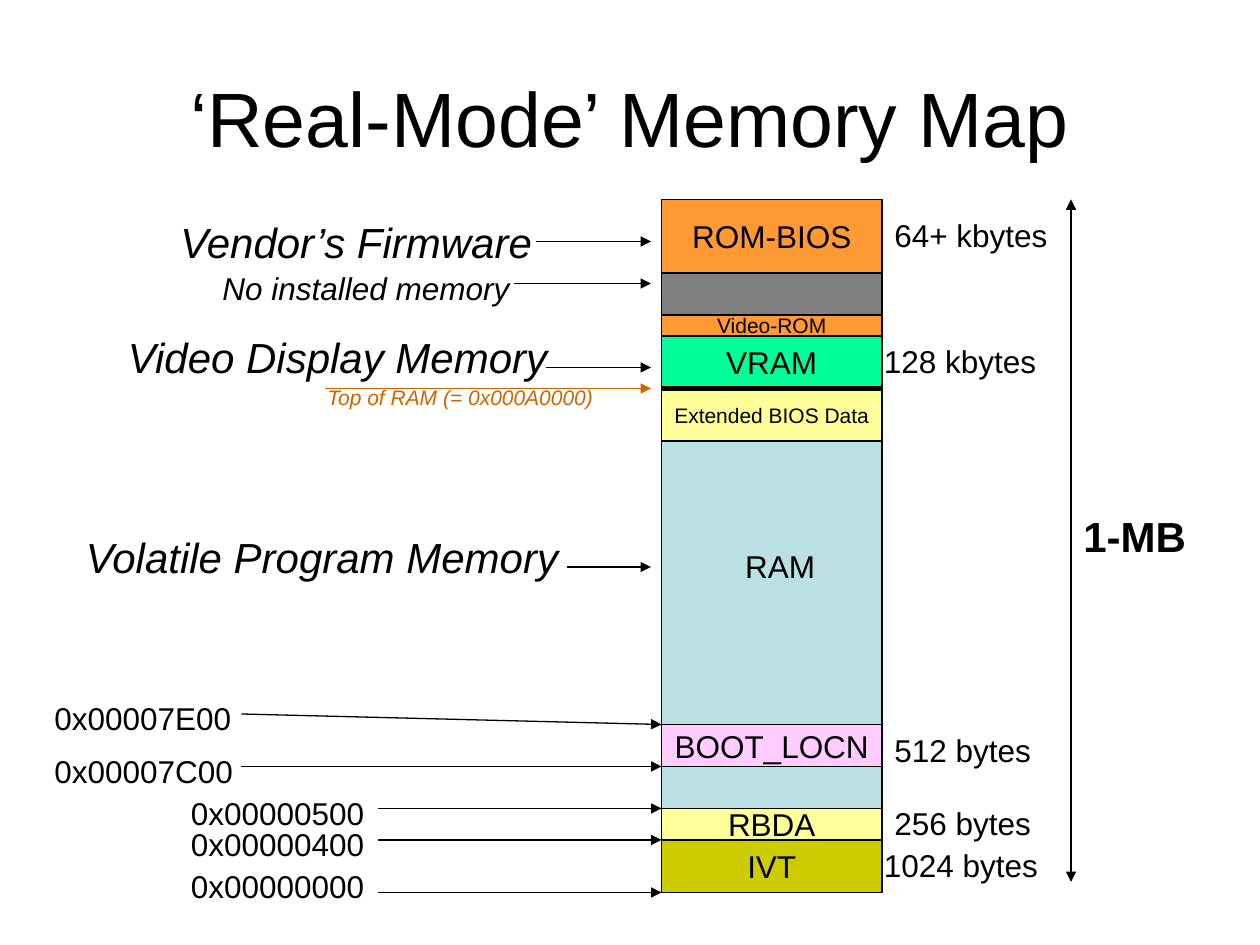
from lxml.etree import SubElement
from pptx import Presentation
from pptx.dml.color import RGBColor
from pptx.enum.shapes import MSO_CONNECTOR as Connector, MSO_SHAPE as Shape
from pptx.enum.text import MSO_ANCHOR as Anchor, MSO_AUTO_SIZE as AutoSize, PP_ALIGN as Align
from pptx.oxml.ns import qn
from pptx.util import Inches, Pt

CELL = Inches(1) / 12  # the slide is a grid of 120 columns by 90 rows
BLACK, RUST, ORANGE, YELLOW = "000000", "CC6600", "FF9933", "FFFF99"
LINE_HEIGHT = {24: 6, 18: 4.8, 12: 3.6}  # rows a label takes at each text size


def grid(*cells):
    return [round(cell * CELL) for cell in cells]


def color(value):
    return RGBColor.from_string(value)


def write(frame, text, size, ink=BLACK, align=Align.LEFT, italic=False, bold=False):
    para = frame.paragraphs[0]
    para.alignment = align
    span = para.add_run()
    span.text = text
    font = span.font
    font.name, font.size = "Arial", Pt(size)
    font.italic, font.bold = italic, bold
    font.color.rgb = color(ink)


def add_label(page, text, left, top, width, size=18, **style):
    box = page.shapes.add_textbox(*grid(left, top, width, LINE_HEIGHT[size]))
    frame = box.text_frame
    frame.word_wrap = False
    frame.auto_size = AutoSize.SHAPE_TO_FIT_TEXT
    write(frame, text, size, **style)


def add_block(page, left, top, width, height, fill, text="", size=18):
    block = page.shapes.add_shape(Shape.RECTANGLE, *grid(left, top, width, height))
    block.shadow.inherit = False
    block.fill.solid()
    block.fill.fore_color.rgb = color(fill)
    block.line.color.rgb = color(BLACK)
    block.line.width = Pt(0.75)
    if text:
        frame = block.text_frame
        frame.word_wrap = False
        frame.vertical_anchor = Anchor.MIDDLE
        write(frame, text, size, align=Align.CENTER)


def add_line(page, start, end, ends=(), ink=BLACK, weight=0.75):
    line = page.shapes.add_connector(Connector.STRAIGHT, *grid(*start, *end))
    line.line.color.rgb = color(ink)
    line.line.width = Pt(weight)
    properties = line._element.spPr
    outline = properties.find(qn("a:ln"))
    for name in ends:
        SubElement(outline, qn(f"a:{name}"), type="triangle")
    SubElement(properties, qn("a:effectLst"))


def add_title(page, text, left, top, width, height):
    title = page.shapes.title
    title.left, title.top, title.width, title.height = grid(left, top, width, height)
    frame = title.text_frame
    frame.auto_size = AutoSize.NONE
    frame.vertical_anchor = Anchor.MIDDLE
    write(frame, text, 44, align=Align.CENTER)


def add_memory_stack(page, left, top, width, height):
    # Rows count down from the top of the stack
    add_block(page, left, top, width, height, "BBE0E3")
    for row, rows, fill, text, size in [
        (0, 7, ORANGE, "ROM-BIOS", 18),
        (7, 6, "808080", "", 18),
        (11, 2, ORANGE, "Video-ROM", 12),
        (13, 5, "00FF99", "VRAM", 18),
        (18, 5, YELLOW, "Extended BIOS Data", 12),
        (50, 4, "FFCCFF", "BOOT_LOCN", 18),
        (58, 3, YELLOW, "RBDA", 18),
        (61, 5, "CCCC00", "IVT", 18),
    ]:
        add_block(page, left, top + row, width, rows, fill, text, size)
    add_label(page, "RAM", left + 6.8, top + 32.5, 9.4)
    # Border between video memory and RAM
    add_line(page, (left, top + 18), (left + width, top + 18), weight=3)


def add_region_names(page, left, top, right):
    # Each name points at its part of the stack
    for text, column, row, width, size, tail, arrow_row in [
        ("Vendor’s Firmware", 9, 1, 37.4, 24, 44, 4),
        ("No installed memory", 13, 6, 30.1, 18, 42, 8),
        ("Video Display Memory", 4, 12, 42.7, 24, 45, 16),
        ("Volatile Program Memory", 0, 31, 47.8, 24, 47, 35),
    ]:
        add_label(page, text, left + column, top + row, width, size, italic=True)
        add_line(page, (left + tail, top + arrow_row), (right, top + arrow_row), ["tailEnd"])
    add_line(page, (right, top + 18), (left + 24, top + 18), ["headEnd"], RUST)
    add_label(page, "Top of RAM (= 0x000A0000)", left + 23, top + 17, 28.1, 12,
              ink=RUST, italic=True)


def add_addresses(page, left, top, right):
    # Each address points at the lower edge of a block
    for text, column, row, width, start_row, end_row in [
        ("0x00007E00", 0, 0, 19.8, 3, 2),
        ("0x00007C00", 0, 5, 19.8, 7, 7),
        ("0x00000500", 13, 9, 19.2, 11, 11),
        ("0x00000400", 13, 12, 19.2, 14, 14),
        ("0x00000000", 13, 16, 19.2, 19, 19),
    ]:
        add_label(page, text, left + column, top + row, width)
        add_line(page, (right, top + start_row), (left + column + 19, top + end_row), ["headEnd"])


def add_sizes(page, left, top, height):
    for text, column, row, width in [
        ("64+ kbytes", 1, 1, 17.3),
        ("128 kbytes", 0, 13, 17.3),
        ("512 bytes", 1, 50, 15.7),
        ("256 bytes", 1, 57, 15.7),
        ("1024 bytes", 0, 61, 17.4),
    ]:
        add_label(page, text, left + column, top + row, width)
    # Total span
    span_left = left + 19
    add_line(page, (span_left, top), (span_left, top + height), ["headEnd", "tailEnd"])
    add_label(page, "1-MB", span_left, top + 29, 12.6, 24, bold=True)


def main():
    deck = Presentation()
    deck.slide_width, deck.slide_height = Inches(10), Inches(7.5)
    page = deck.slides.add_slide(deck.slide_layouts[5])
    add_title(page, "‘Real-Mode’ Memory Map", 6, 3.6, 108, 15)
    add_memory_stack(page, 63, 19, 21, 62)
    add_region_names(page, 7, 19, 62)
    add_addresses(page, 4, 66, 63)
    add_sizes(page, 83, 19, 65)
    deck.save("out.pptx")


if __name__ == "__main__":
    main()
